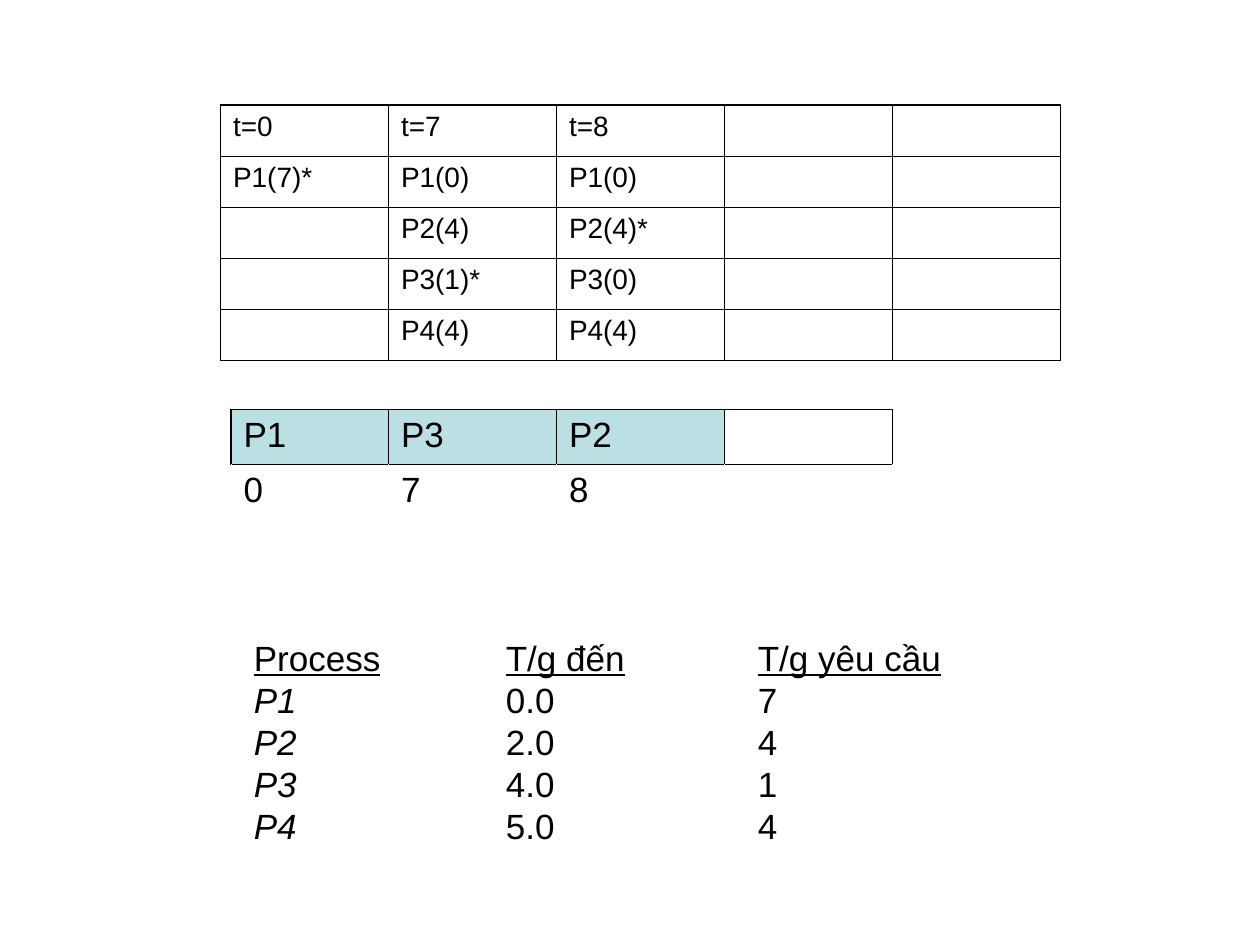
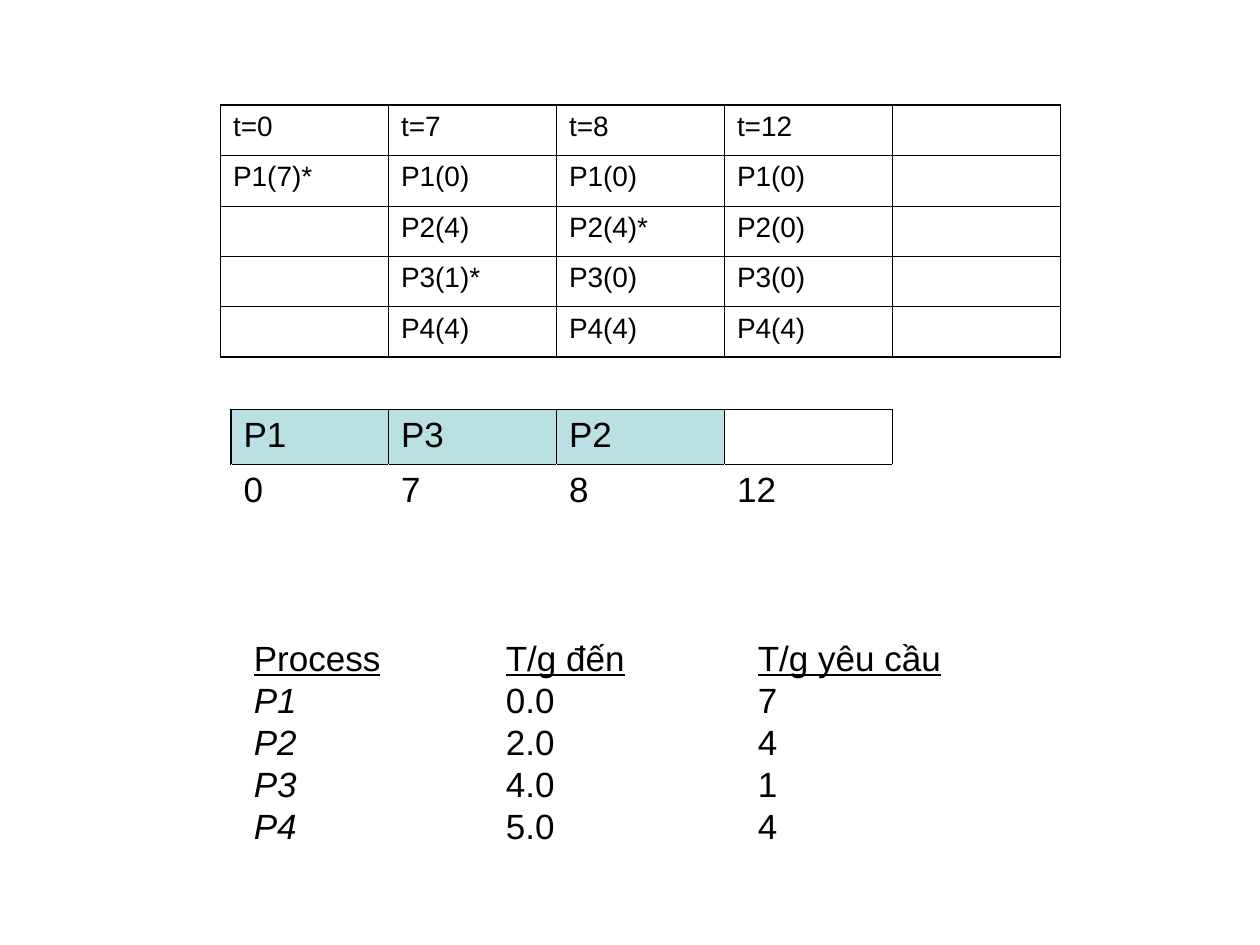
import dataclasses

import pptx
import pptx.dml.color
import pptx.enum.text
import pptx.oxml
import pptx.oxml.ns
import pptx.util
from lxml import etree

Pt = pptx.util.Pt
qn = pptx.oxml.ns.qn


@dataclasses.dataclass(frozen=True)
class Theme:
    ink: str = "000000"
    paper: str = "FFFFFF"
    busy: str = "BBE0E3"
    font: str = "Arial"
    small: int = 16
    body: int = 20
    thin: float = 0.45
    thick: float = 1.08


def set_values(target, values):
    for name, value in values.items():
        setattr(target, name, value)


class SlideBuilder:
    def __init__(self, deck, theme):
        self.deck = deck
        self.theme = theme
        self.page = None

    def new_page(self):
        self.page = self.deck.slides.add_slide(self.deck.slide_layouts[6])

    def add_span(self, para, text, size, **style):
        span = para.add_run()
        span.text = text
        set_values(span.font, {"name": self.theme.font, "size": Pt(size), **style})
        span.font.color.rgb = pptx.dml.color.RGBColor.from_string(self.theme.ink)

    def border(self, cell, side, color, width):
        line = etree.SubElement(cell._tc.get_or_add_tcPr(), qn(f"a:ln{side}"), w=str(Pt(width)))
        fill = etree.SubElement(line, qn("a:solidFill"))
        etree.SubElement(fill, qn("a:srgbClr"), val=color)

    def table(self, left, top, widths, row_height, rows, size, border_rule, filled=()):
        frame = self.page.shapes.add_table(
            len(rows), len(widths), Pt(left), Pt(top), Pt(sum(widths)), Pt(row_height * len(rows))
        )
        grid = frame.table
        set_values(grid, {"first_row": False, "horz_banding": False})
        for column, width in zip(grid.columns, widths):
            column.width = Pt(width)
        for row, texts in enumerate(rows):
            grid.rows[row].height = Pt(row_height)
            for col, text in enumerate(texts):
                cell = grid.cell(row, col)
                for side in "LRTB":
                    self.border(cell, side, *border_rule(row, col, side))
                if (row, col) in filled:
                    cell.fill.solid()
                    cell.fill.fore_color.rgb = pptx.dml.color.RGBColor.from_string(self.theme.busy)
                else:
                    cell.fill.background()
                if text:
                    self.add_span(cell.text_frame.paragraphs[0], text, size)

    def tabbed_list(self, left, top, width, height, stops, header, rows):
        box = self.page.shapes.add_textbox(Pt(left), Pt(top), Pt(width), Pt(height))
        frame = box.text_frame
        set_values(frame, {
            "word_wrap": True,
            "auto_size": pptx.enum.text.MSO_AUTO_SIZE.SHAPE_TO_FIT_TEXT,
        })
        for index, texts in enumerate([header, *rows]):
            para = frame.add_paragraph() if index else frame.paragraphs[0]
            tabs = etree.SubElement(para._p.get_or_add_pPr(), qn("a:tabLst"))
            for stop in stops:
                etree.SubElement(tabs, qn("a:tab"), pos=str(Pt(stop)), algn="l")
            for col, text in enumerate(texts):
                if col:
                    self.add_span(para, "\t", self.theme.body)
                style = {"underline": index == 0, "italic": index > 0 and col == 0}
                self.add_span(para, text, self.theme.body, **style)

    def state_border(self, row, col, side):
        outer = {"L": col == 0, "R": col == 4, "T": row == 0, "B": row == 4}
        return self.theme.ink, self.theme.thick if outer[side] else self.theme.thin

    def timeline_border(self, row, col, side):
        theme = self.theme
        if col == 4:
            dark = row == 0 and side == "L"
        else:
            dark = row == 0 or side == "T"
        heavy = row == 0 and col < 4 and (side == "T" or (side == "L" and col == 0))
        return theme.ink if dark else theme.paper, theme.thick if heavy else theme.thin

    def schedule(self, steps, times):
        columns = steps + [[""] * 5] * (5 - len(steps))
        self.table(126, 60, [96] * 5, 28.8, list(zip(*columns)), self.theme.small,
                   self.state_border)
        timeline = [["P1", "P3", "P2", "", ""], times + [""] * (5 - len(times))]
        self.table(132, 234, [90, 96, 96, 96, 102], 31.4, timeline, self.theme.body,
                   self.timeline_border, {(0, col) for col in range(3)})
        self.tabbed_list(138, 360, 468, 127.4, [144, 288], PROCESS_HEADER, PROCESSES)


PROCESS_HEADER = ["Process", "T/g đến", "T/g yêu cầu"]
PROCESSES = [
    ["P1", "0.0", "7"],
    ["P2", "2.0", "4"],
    ["P3", "4.0", "1"],
    ["P4", "5.0", "4"],
]
STEPS = [
    ["t=0", "P1(7)*", "", "", ""],
    ["t=7", "P1(0)", "P2(4)", "P3(1)*", "P4(4)"],
    ["t=8", "P1(0)", "P2(4)*", "P3(0)", "P4(4)"],
    ["t=12", "P1(0)", "P2(0)", "P3(0)", "P4(4)"],
]
TIMES = ["0", "7", "8", "12"]


def main():
    deck = pptx.Presentation()
    set_values(deck, {"slide_width": Pt(720), "slide_height": Pt(540)})
    builder = SlideBuilder(deck, Theme())
    for shown in (3, 4):
        builder.new_page()
        builder.schedule(STEPS[:shown], TIMES[:shown])
    deck.save("out.pptx")


if __name__ == "__main__":
    main()
